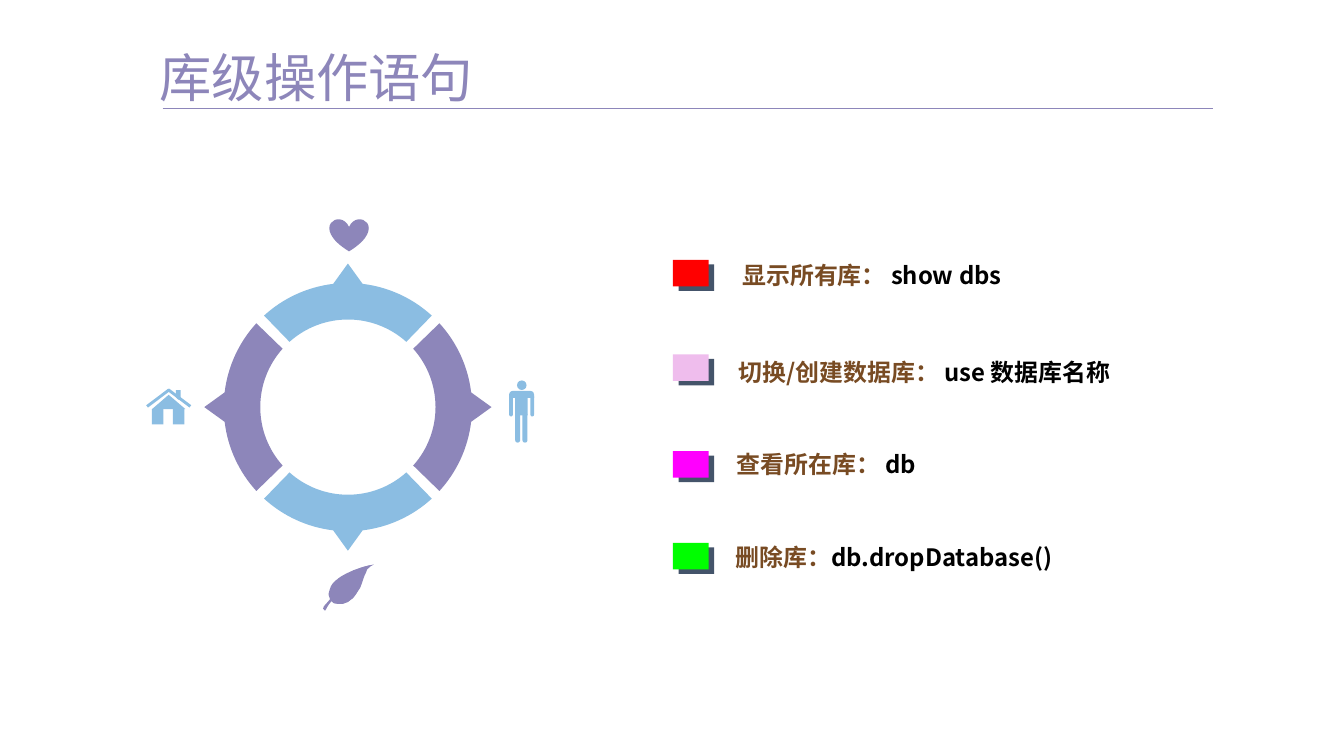
from math import cos, sin, tan, radians
from lxml.etree import SubElement
from pptx import Presentation
from pptx.dml.color import RGBColor
from pptx.enum.shapes import MSO_CONNECTOR, MSO_SHAPE as SHAPE
from pptx.enum.text import MSO_ANCHOR
from pptx.oxml.ns import qn
from pptx.util import Pt

FONT = "Noto Sans CJK SC"
PURPLE, BLUE, BROWN, BLACK, SLATE = "8D86BA", "8BBDE2", "784B23", "000000", "44546A"

TITLE = "库级操作语句"
COMMANDS = [
    ("显示所有库： ", "show dbs", "FF0000", 195.8, (552.2, 198.7, 305.3, 23.8), 15.8),
    ("切换/创建数据库： ", "use 数据库名称", "EFBDED", 267, (549.4, 265.7, 388, 51), None),
    ("查看所在库： ", "db", "FF00FE", 339.8, (547.9, 341.3, 333.4, 23.8), 15.8),
    ("删除库：", "db.dropDatabase()", "00FE00", 409, (547.2, 411.1, 344.2, 23.8), 15.8),
]
SWATCH_X, SWATCH_W, SWATCH_H = 507, 26.8, 20
SHADE_DX, SHADE_DY = 4.3, 3.4

RING_X, RING_Y = 262.1, 306.7
R_OUTER, R_INNER, R_TIP = 93.5, 66, 108.2
OUTER_HALF, INNER_HALF, TIP_HALF = 42.5, 41.8, 6.8
RING_COLORS = [PURPLE, BLUE, PURPLE, BLUE]

HEART = (SHAPE.HEART, 248.2, 164.9, 29.5, 24.5, 0, None)
ROUND_TOP = SHAPE.ROUND_2_SAME_RECTANGLE
PERSON = [
    (SHAPE.OVAL, 389.5, 286.6, 7.2, 7.2, 0, None),
    (ROUND_TOP, 383.6, 294.5, 18.7, 5.3, 0, 0.5),
    (SHAPE.RECTANGLE, 388.1, 299.6, 9.4, 13.4, 0, None),
    (ROUND_TOP, 388.1, 311.8, 3.8, 21.6, 180, 0.5),
    (ROUND_TOP, 393.6, 311.8, 3.8, 21.6, 180, 0.5),
    (ROUND_TOP, 383.6, 298.6, 2.7, 15.1, 180, 0.5),
    (ROUND_TOP, 399.6, 298.6, 2.7, 15.1, 180, 0.5),
]
HOUSE = [
    (SHAPE.RECTANGLE, 108.7, 298.8, 20.9, 2.2, 323, None),
    (SHAPE.RECTANGLE, 124.6, 298.8, 20.9, 2.2, 37, None),
    (SHAPE.ISOSCELES_TRIANGLE, 114.5, 297.4, 25.2, 10.8, 0, None),
    (SHAPE.RECTANGLE, 114.5, 308.2, 8.6, 11.5, 0, None),
    (SHAPE.RECTANGLE, 130.3, 308.2, 8.6, 11.5, 0, None),
    (SHAPE.SNIP_1_RECTANGLE, 132.5, 293.8, 3.6, 7.2, 180, 0.5),
]
LEAF_BLADE = (248.4, 450.7), [
    ((247.7, 449.3), (247, 447.8), (248.4, 444.2)),
    ((249.1, 440.6), (252, 437.8), (254.2, 436.3)),
    ((256.3, 434.2), (263.5, 430.6), (267.8, 429.1)),
    ((272.9, 427), (279.4, 425.5), (280.8, 425.5)),
    ((283, 424.8), (278.6, 426.2), (277.9, 427.7)),
    ((276.5, 428.4), (276.5, 428.4), (275, 431.3)),
    ((274.3, 433.4), (272.2, 439.2), (270.7, 442.8)),
    ((269.3, 445.7), (267.8, 448.6), (265.7, 450.7)),
    ((262.8, 452.9), (259.9, 454.3), (257.8, 455)),
    ((255.6, 455), (252.7, 455), (251.3, 454.3)),
    ((249.8, 453.6), (249.1, 452.2), (248.4, 450.7)),
]
LEAF_STEM = (251.3, 450.7), [
    ((250.6, 452.2), (247.7, 455), (247, 456.5)),
    ((245.5, 458.6), (245.5, 460.1), (244.8, 460.1)),
    ((244.1, 460.1), (243.4, 459.4), (243.4, 458.6)),
    ((243.4, 457.2), (244.1, 456.5), (245.5, 455)),
    ((247, 453.6), (249.1, 450.7), (249.8, 450)),
    ((250.6, 450), (251.3, 450), (251.3, 450.7)),
]
LEAF_HALF = (281.5, 425.5), [
    ((283, 424.8), (278.6, 426.2), (277.9, 427.7)),
    ((277.2, 428.4), (276.5, 428.4), (275.8, 431.3)),
    ((274.3, 433.4), (272.9, 439.2), (271.4, 442.8)),
    ((269.3, 445.7), (267.8, 448.6), (265.7, 450.7)),
    ((262.1, 453.6),), ((257.8, 455),), ((254.9, 455),), ((262.1, 432),), ((265, 430.6),),
    ((265.7, 429.8), (267.1, 429.1), (268.6, 429.1)),
    ((272.9, 427), (280.1, 425.5), (281.5, 425.5)),
]
LEAF_VEIN = (249.1, 450.7), [
    ((250.6, 448.6), (253.4, 444.2), (257, 442.1)),
    ((259.2, 439.9), (263.5, 437), (264.2, 436.3)),
    ((264.2, 436.3), (260.6, 439.2), (259.2, 441.4)),
    ((257, 442.8), (254.9, 445.7), (253.4, 447.8)),
    ((252, 449.3), (250.6, 451.4), (249.8, 451.4)),
    ((249.8, 452.2), (248.4, 452.2), (249.1, 450.7)),
]


def rgb(value):
    return RGBColor.from_string(value)


def paint(sp, color):
    sp.shadow.inherit = False
    sp.fill.solid()
    sp.fill.fore_color.rgb = rgb(color)
    sp.line.fill.background()


def add_preset(shapes, part, color):
    kind, x, y, w, h, turn, adj = part
    sp = shapes.add_shape(kind, Pt(x), Pt(y), Pt(w), Pt(h))
    sp.rotation = turn
    if adj is not None:
        sp.adjustments[0] = adj
    paint(sp, color)


def add_outline(shapes, outline, color):
    start, steps = outline
    builder = shapes.build_freeform(*map(Pt, start), scale=1.0)
    builder.add_line_segments([(Pt(x), Pt(y)) for step in steps for x, y in step], close=True)
    sp = builder.convert_to_shape()
    lines = iter(list(sp._element.iter(qn("a:lnTo"))))
    for step in steps:
        first, *others = [next(lines) for _ in step]
        if others:
            first.tag = qn("a:cubicBezTo")
        for other in others:
            first.append(other[0])
            other.getparent().remove(other)
    paint(sp, color)


def add_text(shapes, runs, box, size=18, bold=False, inset=(7.2, 3.6), spacing=None, wrap=True):
    tf = shapes.add_textbox(*map(Pt, box)).text_frame
    tf.word_wrap = wrap
    tf.vertical_anchor = MSO_ANCHOR.TOP
    tf.margin_left = tf.margin_right = Pt(inset[0])
    tf.margin_top = tf.margin_bottom = Pt(inset[1])
    p = tf.paragraphs[0]
    if spacing:
        p.line_spacing = Pt(spacing)
    for text, color in runs:
        r = p.add_run()
        r.text = text
        r.font.size = Pt(size)
        r.font.bold = bold
        r.font.color.rgb = rgb(color)
        r.font.name = FONT
        SubElement(r.font._element, qn("a:ea")).set("typeface", FONT)


def polar(radius, angle):
    a = radians(angle)
    return RING_X + radius * cos(a), RING_Y + radius * sin(a)


def arc(radius, start, end):
    pull = 4 / 3 * tan(radians(end - start) / 4)
    (x1, y1), (x2, y2) = polar(radius, start), polar(radius, end)
    return ((x1 - pull * (y1 - RING_Y), y1 + pull * (x1 - RING_X)),
            (x2 + pull * (y2 - RING_Y), y2 - pull * (x2 - RING_X)), (x2, y2))


def ring_segment(mid):
    return polar(R_OUTER, mid - OUTER_HALF), [
        arc(R_OUTER, mid - OUTER_HALF, mid - TIP_HALF),
        (polar(R_TIP, mid),),
        (polar(R_OUTER, mid + TIP_HALF),),
        arc(R_OUTER, mid + TIP_HALF, mid + OUTER_HALF),
        (polar(R_INNER, mid + INNER_HALF),),
        arc(R_INNER, mid + INNER_HALF, mid - INNER_HALF),
    ]


def main():
    prs = Presentation()
    prs.slide_width, prs.slide_height = Pt(1012.5), Pt(569.5)
    shapes = prs.slides.add_slide(prs.slide_layouts[6]).shapes

    add_text(shapes, [(TITLE, PURPLE)], (120.2, 33.8, 271.4, 47.5),
             size=39.4, inset=(0, 0), wrap=False)
    rule = shapes.add_connector(MSO_CONNECTOR.STRAIGHT, Pt(122.6), Pt(81.4), Pt(914), Pt(81.4))
    rule.line.color.rgb = rgb(PURPLE)
    rule.line.width = Pt(0.5)
    SubElement(rule._element.spPr, qn("a:effectLst"))

    for label, command, color, y, box, spacing in COMMANDS:
        swatch = shapes.add_group_shape().shapes
        for dx, dy, fill in ((SHADE_DX, SHADE_DY, SLATE), (0, 0, color)):
            part = (SHAPE.RECTANGLE, SWATCH_X + dx, y + dy, SWATCH_W, SWATCH_H, 0, None)
            add_preset(swatch, part, fill)
        add_text(shapes, [(label, BROWN), (command, BLACK)], box, bold=True, spacing=spacing)

    for i, color in enumerate(RING_COLORS):
        add_outline(shapes, ring_segment(90 * i), color)

    add_preset(shapes, HEART, PURPLE)
    for icon in (PERSON, HOUSE):
        group = shapes.add_group_shape().shapes
        for part in icon:
            add_preset(group, part, BLUE)
    leaf = shapes.add_group_shape().shapes
    for outline in (LEAF_BLADE, LEAF_STEM, LEAF_HALF, LEAF_VEIN):
        add_outline(leaf, outline, PURPLE)

    prs.save("out.pptx")


if __name__ == "__main__":
    main()
